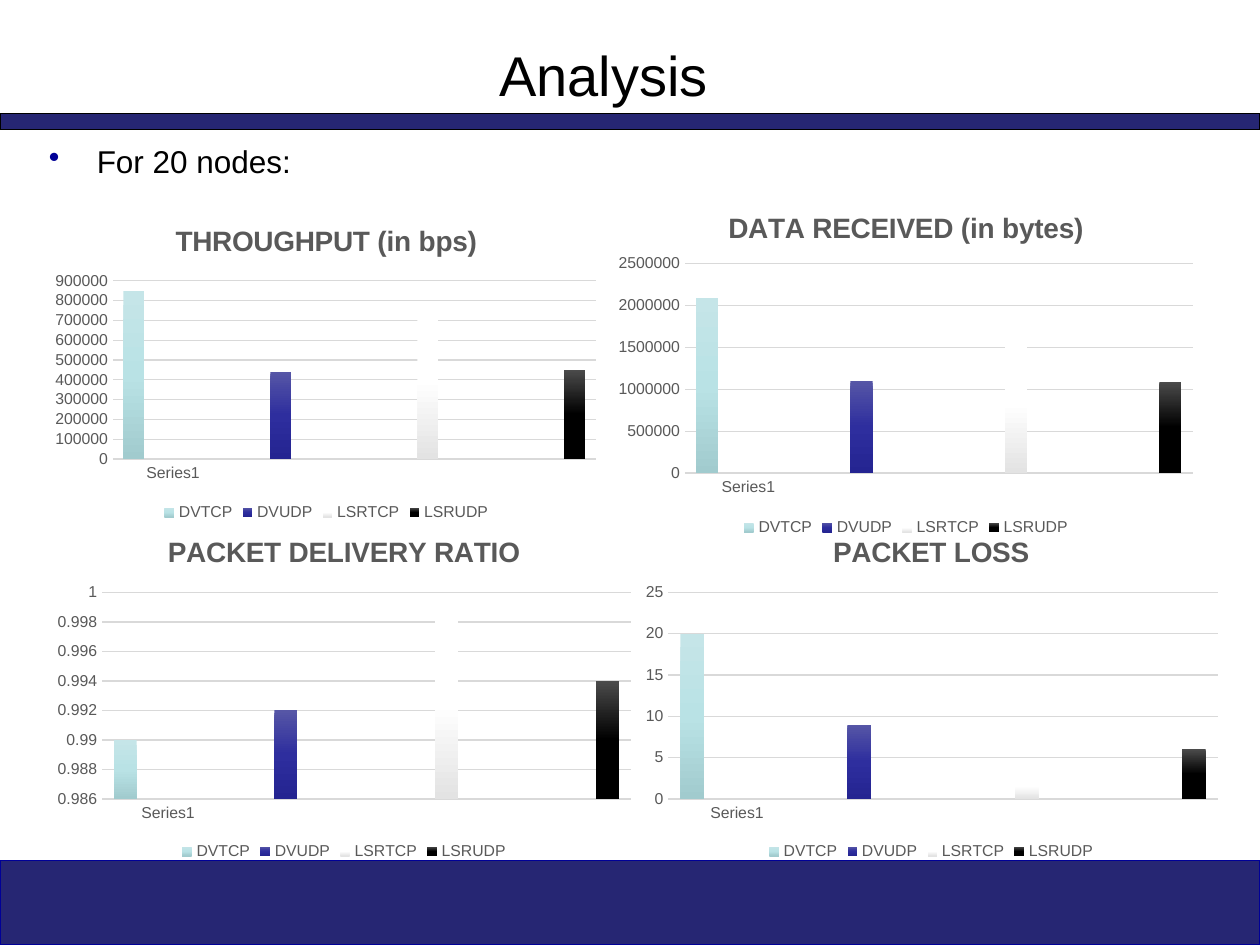
"""Builds the Analysis slide: four column charts for the 20-node runs."""
from copy import deepcopy

from pptx import Presentation
from pptx.chart.data import CategoryChartData
from pptx.dml.color import RGBColor
from pptx.enum.chart import XL_CHART_TYPE as CT, XL_LEGEND_POSITION as LP, XL_TICK_MARK as TM
from pptx.enum.shapes import MSO_SHAPE as MS
from pptx.enum.text import MSO_ANCHOR as MA, PP_ALIGN as PA
from pptx.oxml import parse_xml
from pptx.oxml.ns import nsdecls, qn
from pptx.util import Inches, Pt


def rgb(value):
    return RGBColor.from_string(value)


def set_font(font, size, color, bold=False):
    font.name, font.size, font.bold = "Arial", Pt(size), bold
    font.color.rgb = rgb(color)


SERIES = [("DVTCP", ("C5E5E8", "B9E2E5", "A1CBCE")),
          ("DVUDP", ("5656A6", "2E2E9E", "242491")),
          ("LSRTCP", ("FFFFFF", "FFFFFF", "E3E3E3")),
          ("LSRUDP", ("4B4B4B", "000000", "000000"))]
CHARTS = [
    ("THROUGHPUT (in bps)", (0.36, 1.63, 4.46, 2.55), (0.12, 0.235, 0.86, 0.555),
     (850000, 440000, 800000, 450000), (0, 900000, 100000)),
    ("DATA RECEIVED (in bytes)", (4.82, 1.52, 4.74, 2.78), (0.13, 0.205, 0.85, 0.6),
     (2090000, 1100000, 1680000, 1090000), (0, 2500000, 500000)),
    ("PACKET DELIVERY RATIO", (0.36, 4.09, 4.74, 2.78), (0.095, 0.22, 0.885, 0.59),
     (0.990, 0.992, 0.999, 0.994), (0.986, 1, 0.002)),
    ("PACKET LOSS", (5.02, 4.09, 4.74, 2.78), (0.06, 0.22, 0.92, 0.59),
     (20, 9, 3, 6), (0, 25, 5)),
]

prs = Presentation()
prs.slide_width, prs.slide_height = Inches(10), Inches(7.5)
s = prs.slides.add_slide(prs.slide_layouts[5])

for top, height, line in [(6.83, 0.67, "000097"), (0.9, 0.13, "000000")]:
    sp = s.shapes.add_shape(MS.RECTANGLE, 0, Inches(top), prs.slide_width, Inches(height))
    sp.shadow.inherit = False
    sp.fill.solid()
    sp.fill.fore_color.rgb = rgb("262673")
    sp.line.color.rgb = rgb(line)
    sp.line.width = Pt(0.75)

title = s.shapes.title
title.left, title.top, title.width, title.height = map(Inches, (0.99, 0.23, 7.6, 0.72))
tf = title.text_frame
tf.text = "Analysis"
tf.vertical_anchor = MA.MIDDLE
p = tf.paragraphs[0]
p.alignment = PA.CENTER
set_font(p.font, 32, "000000")

tf = s.shapes.add_textbox(*map(Inches, (0.17, 1.08, 9.67, 0.45))).text_frame
tf.word_wrap = True
p = tf.paragraphs[0]
p.text = "For 20 nodes:"
p.space_before = Pt(3.6)
set_font(p.font, 18, "000000")
pPr = p._p.get_or_add_pPr()
pPr.set("marL", str(Inches(0.5)))
pPr.set("indent", str(Inches(-0.38)))
bullet = [parse_xml(f'<a:buClr {nsdecls("a")}><a:srgbClr val="000097"/></a:buClr>'),
          parse_xml(f'<a:buChar {nsdecls("a")} char="•"/>')]
for at, el in enumerate(bullet, 1):
    pPr.insert(at, el)

for name, box, plot_box, values, (low, high, step) in CHARTS:
    data = CategoryChartData()
    data.categories = ["Series1", "", "", ""]
    for i, (label, _) in enumerate(SERIES):
        data.add_series(label, [values[i] if i == j else None for j in range(4)])
    chart = s.shapes.add_chart(CT.COLUMN_CLUSTERED, *map(Inches, box), data).chart
    set_font(chart.font, 10, "000000")
    chart.has_title = True
    p = chart.chart_title.text_frame.paragraphs[0]
    p.text = name
    set_font(p.font, 16, "595959", True)
    chart.chart_title.include_in_layout = False

    chart.has_legend = True
    chart.legend.position = LP.BOTTOM
    chart.legend.include_in_layout = False
    set_font(chart.legend.font, 9, "595959")

    cat, val = chart.category_axis, chart.value_axis
    for axis in (cat, val):
        axis.major_tick_mark = axis.minor_tick_mark = TM.NONE
        set_font(axis.tick_labels.font, 9, "595959")
    cat.format.line.color.rgb = rgb("D9D9D9")
    cat.format.line.width = Pt(1)
    val.minimum_scale, val.maximum_scale, val.major_unit = low, high, step
    val.format.line.fill.background()
    val.major_gridlines.format.line.color.rgb = rgb("D9D9D9")
    val.major_gridlines.format.line.width = Pt(0.75)

    plot = chart.plots[0]
    plot.gap_width, plot.overlap, plot.vary_by_categories = 100, -24, False
    for ser, (_, colors) in zip(plot.series, SERIES):
        fill = ser.format.fill
        fill.gradient()
        fill.gradient_angle = 270
        stops = ser._element.find(".//" + qn("a:gsLst"))
        stops.append(deepcopy(stops[-1]))
        for stop, position, color in zip(fill.gradient_stops, (0, 0.5, 1), colors):
            stop.position, stop.color.rgb = position, rgb(color)

    area = chart._chartSpace.chart.plotArea
    for old in area.findall(qn("c:layout")):
        area.remove(old)
    sizes = "".join(f'<c:{tag} val="{v}"/>' for tag, v in zip("xywh", plot_box))
    area.insert(0, parse_xml(
        f'<c:layout {nsdecls("c")}><c:manualLayout><c:layoutTarget val="inner"/>'
        f'<c:xMode val="edge"/><c:yMode val="edge"/>{sizes}</c:manualLayout></c:layout>'))

prs.save("out.pptx")
